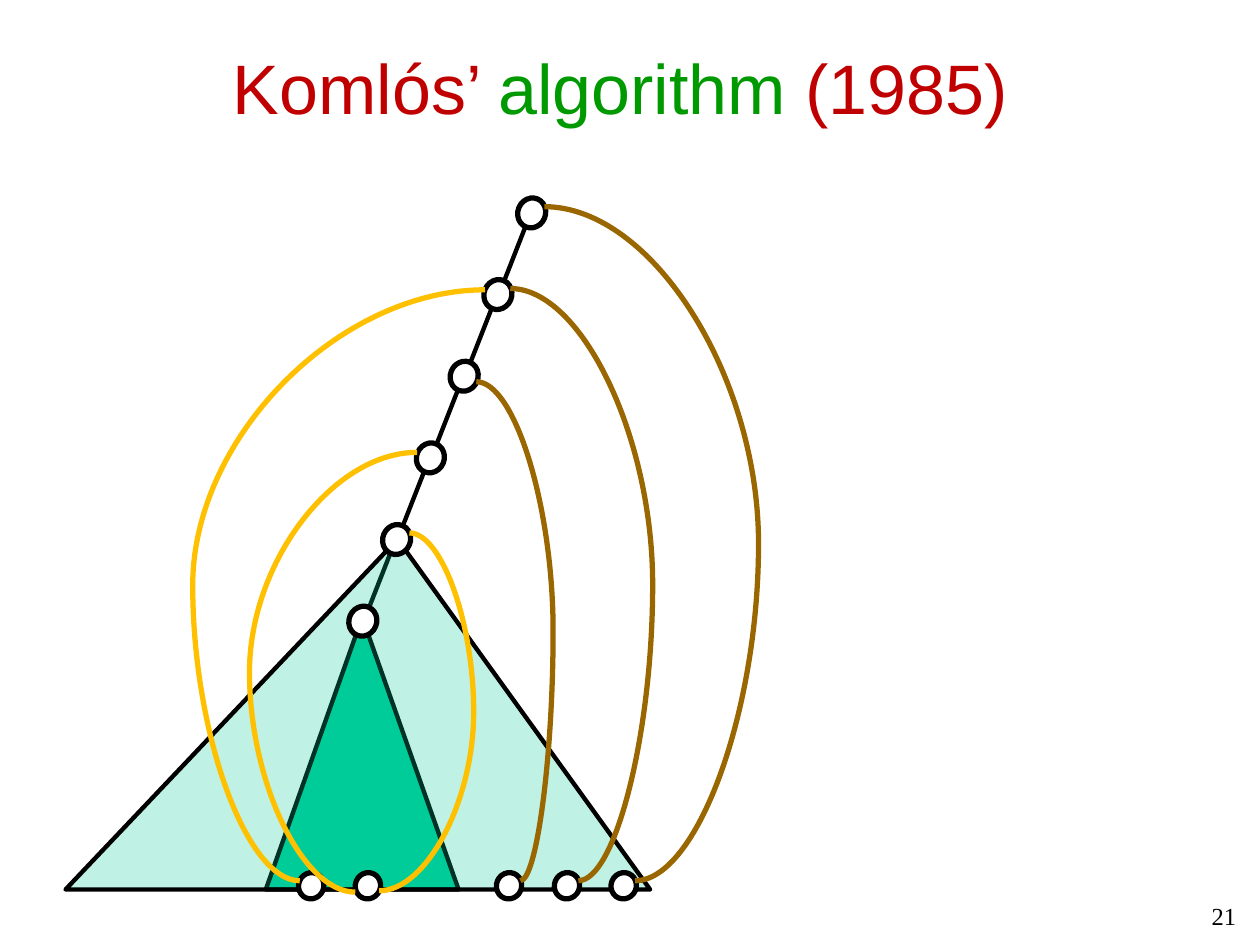
from dataclasses import dataclass
from itertools import pairwise

from lxml.etree import SubElement
from pptx import Presentation
from pptx.dml.color import RGBColor
from pptx.enum.shapes import MSO_CONNECTOR, MSO_SHAPE
from pptx.enum.text import MSO_ANCHOR, MSO_AUTO_SIZE, PP_ALIGN
from pptx.oxml.ns import qn
from pptx.util import Emu, Pt

EMU_PER_PX = 9144  # 100 px to the inch


def px(length):
    return Emu(round(length * EMU_PER_PX))


@dataclass(frozen=True)
class Theme:
    black: str = "000000"
    white: str = "FFFFFF"
    red: str = "C00000"
    green: str = "009900"
    teal: str = "00CC99"
    gold: str = "FFC000"
    brown: str = "996600"
    title_font: str = "Arial"
    number_font: str = "Times New Roman"
    title_size: int = 40
    number_size: int = 14
    edge_width: float = 2.5
    bold_width: float = 3


class SlideBuilder:
    def __init__(self, slide, theme):
        self.slide = slide
        self.shapes = slide.shapes
        self.theme = theme

    def style_line(self, line, color, width):
        line.color.rgb = RGBColor.from_string(color)
        line.width = Pt(width)

    def style_span(self, span, font, size, color):
        span.font.name = font
        span.font.size = Pt(size)
        span.font.color.rgb = RGBColor.from_string(color)

    def title(self, left, top, width, height, spans):
        """Fill the title placeholder with (text, color) spans."""
        box = self.shapes.title
        box.left, box.top, box.width, box.height = map(px, (left, top, width, height))
        frame = box.text_frame
        frame.auto_size = MSO_AUTO_SIZE.SHAPE_TO_FIT_TEXT
        frame.vertical_anchor = MSO_ANCHOR.MIDDLE
        para = frame.paragraphs[0]
        para.alignment = PP_ALIGN.CENTER
        for text, color in spans:
            span = para.add_run()
            span.text = text
            self.style_span(span, self.theme.title_font, self.theme.title_size, color)

    def page_number(self, left, top, width, height, text):
        frame = self.shapes.add_textbox(*map(px, (left, top, width, height))).text_frame
        frame.word_wrap = True
        frame.text = text
        para = frame.paragraphs[0]
        para.alignment = PP_ALIGN.RIGHT
        self.style_span(para.runs[0], self.theme.number_font,
                        self.theme.number_size, self.theme.black)

    def shape(self, kind, left, top, width, height, fill, line_width):
        shape = self.shapes.add_shape(kind, *map(px, (left, top, width, height)))
        shape.shadow.inherit = False
        shape.fill.solid()
        shape.fill.fore_color.rgb = RGBColor.from_string(fill)
        self.style_line(shape.line, self.theme.black, line_width)
        return shape

    def triangle(self, left, top, width, height, apex=0.5, opacity=100):
        shape = self.shape(MSO_SHAPE.ISOSCELES_TRIANGLE, left, top, width, height,
                           self.theme.teal, self.theme.edge_width)
        shape.adjustments[0] = apex
        if opacity < 100:
            color = shape._element.spPr.find(qn("a:solidFill"))[0]
            SubElement(color, qn("a:alpha"), val=str(opacity * 1000))

    def node(self, center, width, height):
        x, y = center
        shape = self.shape(MSO_SHAPE.OVAL, x - width / 2, y - height / 2, width, height,
                           self.theme.white, self.theme.bold_width)
        shape.rotation = 292.5

    def connector(self, kind, start, end, color, width):
        connector = self.shapes.add_connector(kind, *map(px, (*start, *end)))
        self.style_line(connector.line, color, width)
        SubElement(connector._element.spPr, qn("a:effectLst"))
        return connector

    def edge(self, start, end):
        self.connector(MSO_CONNECTOR.STRAIGHT, start, end,
                       self.theme.black, self.theme.edge_width)

    def arc(self, start, end, bulge, color):
        """Draw a curve that swings out to x = bulge on its way down."""
        connector = self.connector(MSO_CONNECTOR.CURVE, start, end,
                                   color, self.theme.bold_width)
        ratio = round((bulge - start[0]) / (end[0] - start[0]) * 100000)
        guides = connector._element.spPr.find(qn("a:prstGeom")).get_or_add_avLst()
        SubElement(guides, qn("a:gd"), name="adj1", fmla=f"val {ratio}")


def main():
    deck = Presentation()
    deck.slide_width, deck.slide_height = px(1000), px(750)
    theme = Theme()
    page = SlideBuilder(deck.slides.add_slide(deck.slide_layouts[5]), theme)

    page.title(0, 30, 1000, 77, [
        ("Komlós’ ", theme.red),
        ("algorithm ", theme.green),
        ("(1985) ", theme.red),
    ])
    page.page_number(783, 710, 208, 50, "21")

    path_nodes = [(422 - 26.8 * step, 169 + 64.8 * step) for step in range(6)]
    leaves = [(x, 703) for x in (247, 292, 404, 450, 495)]

    page.triangle(211, 490, 153, 216)
    for (upper_x, upper_y), (lower_x, lower_y) in pairwise(path_nodes):
        page.edge((upper_x - 5, upper_y + 11), (lower_x + 5, lower_y - 11))
    page.triangle(52, 428, 464, 278, apex=0.568, opacity=25)

    for center in path_nodes:
        page.node(center, 24, 22)
    for center in leaves:
        page.node(center, 21, 20)

    arcs = [
        ((385, 230), (238, 699), 153, theme.gold),
        ((331, 359), (282, 708), 198, theme.gold),
        ((325, 423), (301, 707), 376, theme.gold),
        ((432, 164), (504, 699), 602, theme.brown),
        ((405, 229), (459, 699), 518, theme.brown),
        ((378, 303), (413, 699), 439, theme.brown),
    ]
    for start, end, bulge, color in arcs:
        page.arc(start, end, bulge, color)

    deck.save("out.pptx")


if __name__ == "__main__":
    main()
